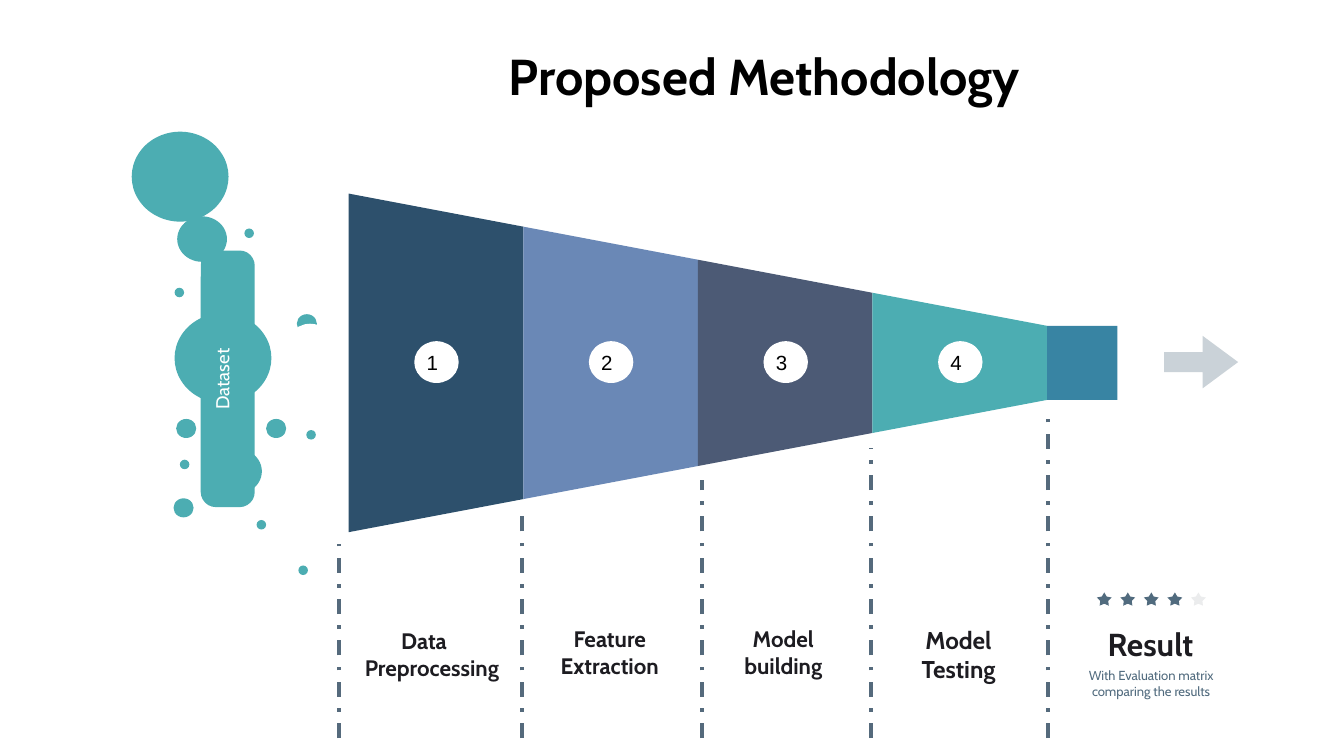
from lxml import etree
from pptx import Presentation
from pptx import util as u
from pptx.dml import color as col
from pptx.enum import dml, shapes, text
from pptx.oxml import ns

Cm = u.Cm
Kind = shapes.MSO_SHAPE
INK = {"teal": "4CADB2", "navy": "2D506C", "sky": "6A88B6", "slate": "4C5A75",
       "blue": "3884A3", "rule": "556A7C", "steel": "516B7E", "pale": "EBECED",
       "white": "FFFFFF", "snow": "FEFFFE", "black": "000000", "dark": "1D1C21"}


def rgb(name):
    """Look up a named colour."""
    return col.RGBColor.from_string(INK[name])


def paint(shape, name):
    """Give a shape a flat fill without line or shadow."""
    shape.shadow.inherit = False
    shape.fill.solid()
    shape.fill.fore_color.rgb = rgb(name)
    shape.line.fill.background()
    return shape


def solid(tree, kind, box, name):
    """Add a painted preset shape."""
    return paint(tree.add_shape(kind, *map(Cm, box)), name)


def write(shape, lines, size, name, bold=False, font="Cabin", pad=0.05,
          align=text.PP_ALIGN.CENTER, anchor=text.MSO_ANCHOR.TOP):
    """Fill a shape with one paragraph per line."""
    frame = shape.text_frame
    frame.word_wrap = True
    frame.vertical_anchor = anchor
    frame.margin_left = frame.margin_right = Cm(pad)
    frame.margin_top = frame.margin_bottom = Cm(pad)
    for i, line in enumerate(lines):
        para = frame.add_paragraph() if i else frame.paragraphs[0]
        para.alignment = align
        run = para.add_run()
        run.text = line
        run.font.size, run.font.bold, run.font.name = u.Pt(size), bold, font
        run.font.color.rgb = rgb(name)
    return frame


def label(tree, box, lines, size, name, **style):
    """Add a text box."""
    return write(tree.add_textbox(*map(Cm, box)), lines, size, name, **style)


def title(tree, box):
    """Place the slide title, nudged right of centre."""
    frame = label(tree, box, ["Proposed Methodology"], 27, "black", bold=True,
                  pad=0.1, anchor=text.MSO_ANCHOR.MIDDLE)
    frame.margin_left = Cm(1)
    frame.paragraphs[0].line_spacing = 0.9


def dataset(tree, x, y):
    """Place the bubbles and the upright dataset bar."""
    group = tree.add_group_shape().shapes
    sizes = {
        (1.83, 1.7): [(0, 0), (0.81, 3.43)],
        (0.94, 0.86): [(1.52, 5.99), (0.86, 1.6)],
        (0.38, 0.36): [(1.93, 2.77), (3.12, 3.45), (2.54, 5.43),
                       (0.84, 5.43), (0.79, 6.93)],
        (0.18, 0.18): [(2.36, 7.34), (0.91, 6.2), (0.81, 2.95),
                       (3.15, 8.2), (3.3, 5.64), (2.13, 1.83)]}
    for size, spots in sizes.items():
        for dx, dy in spots:
            solid(group, Kind.OVAL, (x + dx, y + dy, *size), "teal")
    bar = solid(group, Kind.ROUNDED_RECTANGLE,
                (x - 0.61, y + 4.16, 4.85, 1.02), "teal")
    bar.adjustments[0] = 0.28
    bar.rotation = 270
    name = group.add_textbox(Cm(x - 0.23), Cm(y + 4.32), Cm(4.06), Cm(0.71))
    name.rotation = 270
    write(name, ["Dataset"], 10, "snow")
    solid(tree, Kind.OVAL, (x + 2.95, y + 3.63, 0.84, 0.79), "white")


def funnel(tree, x, mid, step):
    """Place the tapering stages, their numbers and the spout."""
    half, drop = 3.2, 0.625
    for i, name in enumerate(("navy", "sky", "slate", "teal")):
        left, right = x + i * step, x + (i + 1) * step
        big, small = half - i * drop, half - (i + 1) * drop
        pts = [(Cm(px), Cm(py)) for px, py in (
            (left, mid - big), (right, mid - small),
            (right, mid + small), (left, mid + big))]
        form = tree.build_freeform(*pts[0], scale=1.0)
        form.add_line_segments(pts[1:], close=True)
        paint(form.convert_to_shape(), name)
        badge = solid(tree, Kind.OVAL,
                      (left + 1.24, mid - 0.41, 0.84, 0.79), "white")
        frame = write(badge, [str(i + 1)], 11, "black", font="Arial", pad=0,
                      align=text.PP_ALIGN.LEFT, anchor=text.MSO_ANCHOR.MIDDLE)
        frame.margin_left = Cm(0.11)
    solid(tree, Kind.RECTANGLE, (x + 4 * step, mid - 0.7, 1.33, 1.4), "blue")


def rules(tree, top, base):
    """Place the dashed dividers, each rising higher than the last."""
    for i, x in enumerate((6.4, 9.86, 13.26, 16.46, 19.81)):
        rule = tree.add_connector(shapes.MSO_CONNECTOR.STRAIGHT, Cm(x),
                                  Cm(base), Cm(x), Cm(top - i * 0.61))
        rule.line.color.rgb = rgb("rule")
        rule.line.width = u.Pt(2)
        rule.line.dash_style = dml.MSO_LINE.DASH_DOT
        etree.SubElement(rule._element.spPr, ns.qn("a:effectLst"))


def stages(tree, y):
    """Place the stage names under the funnel."""
    first = label(tree, (6.3, y + 0.05, 3.43, 1.73),
                  ["Data", "Preprocessing"], 12, "dark", bold=True)
    first.paragraphs[1]._p.get_or_add_pPr().set("marL", str(Cm(0.3)))
    for x, lines, size in ((10, ["Feature", "Extraction"], 12),
                           (13.28, ["Model", "building"], 12),
                           (16.59, ["Model", "Testing"], 13)):
        label(tree, (x, y, 3.05, 1.19), lines, size, "dark", bold=True)


def result(tree, x, y, w):
    """Place the star rating with the result text."""
    for i in range(5):
        star = solid(tree, Kind.STAR_5_POINT,
                     (x + 0.69 + i * 0.445, y, 0.28, 0.25),
                     "steel" if i < 4 else "pale")
        star.adjustments[0] = 0.27
    label(tree, (x + 0.18, y + 0.56, 3.05, 0.66), ["Result"], 17, "dark",
          bold=True)
    label(tree, (x, y + 1.37, w, 1.24),
          ["With Evaluation matrix comparing the results"], 7, "steel")


def arrow(tree, box):
    """Place the faded outgoing arrow."""
    shape = solid(tree, Kind.RIGHT_ARROW, box, "steel")
    shape.adjustments[0], shape.adjustments[1] = 0.383, 0.675
    tint = shape._element.spPr.find(".//" + ns.qn("a:srgbClr"))
    etree.SubElement(tint, ns.qn("a:alpha")).set("val", "30000")


def main():
    """Build and save the slide."""
    deck = Presentation()
    deck.slide_width, deck.slide_height = Cm(25.4), Cm(14.29)
    tree = deck.slides.add_slide(deck.slide_layouts[6]).shapes
    title(tree, (6.4, 0.81, 15.19, 1.37))
    dataset(tree, 2.49, 2.49)
    funnel(tree, 6.59, 6.86, 3.3)
    rules(tree, 10.29, 13.95)
    stages(tree, 11.76)
    result(tree, 20.04, 11.2, 3.43)
    arrow(tree, (22, 6.35, 1.4, 0.99))
    deck.save("out.pptx")


if __name__ == "__main__":
    main()
